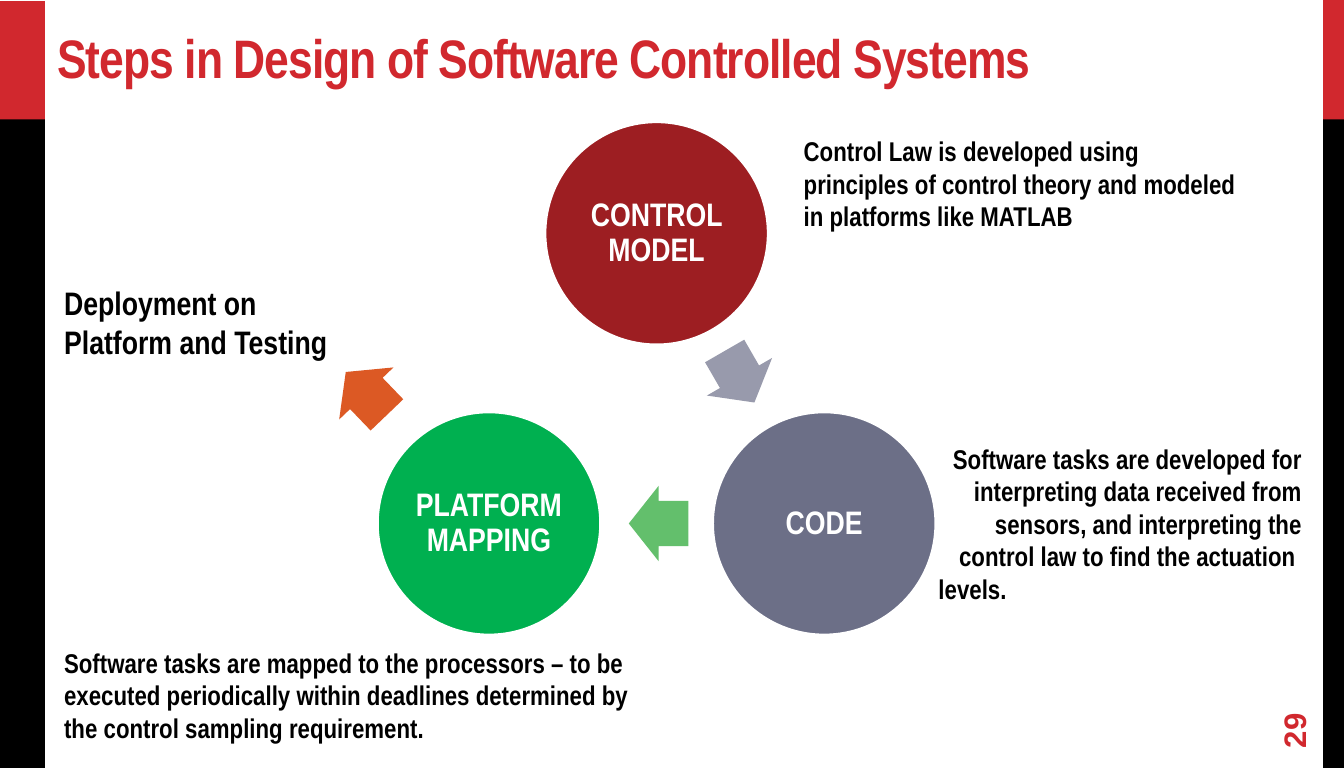
"""Build the slide on the design steps of software controlled systems."""
from dataclasses import dataclass
from math import cos, radians, sin

from pptx import Presentation
from pptx.dml.color import RGBColor
from pptx.enum.shapes import MSO_SHAPE as Shp
from pptx.enum.text import MSO_ANCHOR as Anchor, MSO_AUTO_SIZE as Auto, PP_ALIGN as Align
from pptx.util import Cm, Pt

COLORS = {
    "red": "D1282E", "black": "000000", "white": "FFFFFF", "crimson": "9D1E22",
    "slate": "6C6F87", "green": "00B050", "mist": "989AAC", "leaf": "63BF6C",
    "orange": "DC5924",
}
CENTER_X, CENTER_Y, RADIUS = 17.1, 11.12, 5.04
CIRCLE = 5.82
ARROW_W, ARROW_H = 1.55, 1.96
ARROW_SHIFT = 0.05
INSETS = {"margin_left": Cm(0.28), "margin_top": Cm(0.15),
          "margin_right": Cm(0.28), "margin_bottom": Cm(0.15)}
TIGHT = dict.fromkeys(INSETS, Cm(0.08))


@dataclass
class Bar:
    """Coloured strip at a side of the slide."""
    x: float
    y: float
    w: float
    h: float
    color: str


@dataclass
class Step:
    """Circle of the cycle, placed by its angle."""
    text: str
    angle: float
    color: str

    @property
    def center(self) -> tuple[float, float]:
        """Return the centre of the circle."""
        a = radians(self.angle)
        return CENTER_X + RADIUS * cos(a), CENTER_Y + RADIUS * sin(a)


@dataclass
class Arrow:
    """Block arrow given by its centre and rotation."""
    x: float
    y: float
    rotation: float
    color: str


@dataclass
class Note:
    """Explanation beside a step, as lines with their alignments."""
    x: float
    y: float
    w: float
    h: float
    lines: list[tuple[str, Align]]
    size: int = 20
    wrap: bool = True


BARS = [
    Bar(34.46, 0, 0.56, 3.99, "red"), Bar(34.46, 3.11, 0.56, 16.9, "black"),
    Bar(0, 0.03, 1.17, 3.99, "red"), Bar(0, 3.11, 1.17, 16.9, "black"),
]
STEPS = [
    Step("CONTROL MODEL", -90, "crimson"),
    Step("CODE", 30, "slate"),
    Step("PLATFORM MAPPING", 150, "green"),
]
NOTES = [
    Note(20.68, 3.38, 12.06, 2.82, [
        ("Control Law is developed using principles of control theory and "
         "modeled in platforms like MATLAB", Align.LEFT)]),
    Note(1.42, 7.26, 7.44, 2.31, [
        ("Deployment on", Align.LEFT), ("Platform and Testing", Align.LEFT)], 24, False),
    Note(24.19, 11.4, 9.96, 4.52, [
        ("Software tasks are developed for interpreting data received from sensors, "
         "and interpreting the control law to find the actuation ", Align.RIGHT),
        ("levels.", Align.LEFT)]),
    Note(1.42, 16.71, 15.44, 2.82, [
        ("Software tasks are mapped to the processors – to be executed periodically "
         "within deadlines determined by the control sampling requirement.", Align.LEFT)]),
]


def rgb(name: str) -> RGBColor:
    """Return a named colour."""
    return RGBColor.from_string(COLORS[name])


def set_all(obj, values: dict) -> None:
    """Set several attributes of an object."""
    for name, value in values.items():
        setattr(obj, name, value)


def add_run(p, text: str, size: int, color: str, font: str = "Arial Narrow"):
    """Add a bold run to a paragraph."""
    r = p.add_run()
    r.text = text
    set_all(r.font, {"name": font, "size": Pt(size), "bold": True})
    r.font.color.rgb = rgb(color)
    return r


def add_filled(s, kind: Shp, x: float, y: float, w: float, h: float, color: str):
    """Add a filled shape without line and shadow."""
    sp = s.shapes.add_shape(kind, Cm(x), Cm(y), Cm(w), Cm(h))
    sp.shadow.inherit = False
    sp.fill.solid()
    sp.fill.fore_color.rgb = rgb(color)
    sp.line.fill.background()
    return sp


def add_title(s, text: str) -> None:
    """Place and fill the title."""
    sp = s.shapes.title
    set_all(sp, {"left": Cm(1.21), "top": Cm(0.69), "width": Cm(33.02), "height": Cm(1.78)})
    tf = sp.text_frame
    set_all(tf, INSETS | {"vertical_anchor": Anchor.BOTTOM, "auto_size": Auto.NONE})
    p = tf.paragraphs[0]
    p.alignment = Align.LEFT
    r = add_run(p, text, 40, "red")
    r.font._element.set("spc", "-70")


def add_number(s, text: str) -> None:
    """Add the upright slide number."""
    sp = s.shapes.add_textbox(Cm(32.66), Cm(18.31), Cm(2.06), Cm(0.86))
    sp.rotation = 270
    tf = sp.text_frame
    set_all(tf, INSETS | {"vertical_anchor": Anchor.MIDDLE, "word_wrap": True})
    add_run(tf.paragraphs[0], text, 23, "red", "Arial")


def add_step(s, step: Step) -> None:
    """Add a labelled circle."""
    x, y = step.center
    sp = add_filled(s, Shp.OVAL, x - CIRCLE / 2, y - CIRCLE / 2, CIRCLE, CIRCLE, step.color)
    sp.line.color.rgb = rgb("white")
    sp.line.width = Pt(2.25)
    tf = sp.text_frame
    set_all(tf, TIGHT | {"vertical_anchor": Anchor.MIDDLE, "word_wrap": True})
    p = tf.paragraphs[0]
    set_all(p, {"alignment": Align.CENTER, "line_spacing": 0.9})
    add_run(p, step.text, 24, "white")


def arrow_between(a: Step, b: Step, rotation: float, color: str) -> Arrow:
    """Return the arrow from one step to the next, just short of halfway."""
    x, y = ((m + n) / 2 for m, n in zip(a.center, b.center))
    t = radians(rotation)
    return Arrow(x - ARROW_SHIFT * cos(t), y - ARROW_SHIFT * sin(t), rotation, color)


def add_arrow(s, arrow: Arrow) -> None:
    """Add a rotated block arrow."""
    sp = add_filled(s, Shp.RIGHT_ARROW, arrow.x - ARROW_W / 2, arrow.y - ARROW_H / 2,
                    ARROW_W, ARROW_H, arrow.color)
    sp.adjustments[0], sp.adjustments[1] = 0.6, 0.5
    sp.rotation = arrow.rotation


def add_note(s, note: Note) -> None:
    """Add an explanation."""
    sp = s.shapes.add_textbox(Cm(note.x), Cm(note.y), Cm(note.w), Cm(note.h))
    tf = sp.text_frame
    set_all(tf, {"word_wrap": note.wrap, "auto_size": Auto.SHAPE_TO_FIT_TEXT})
    for i, (text, align) in enumerate(note.lines):
        p = tf.add_paragraph() if i else tf.paragraphs[0]
        p.alignment = align
        add_run(p, text, note.size, "black")


def main() -> None:
    """Build and save the presentation."""
    prs = Presentation()
    prs.slide_width, prs.slide_height = Cm(35), Cm(20.01)
    s = prs.slides.add_slide(prs.slide_layouts[5])
    for bar in BARS:
        add_filled(s, Shp.RECTANGLE, bar.x, bar.y, bar.w, bar.h, bar.color)
    add_title(s, "Steps in Design of Software Controlled Systems")
    add_number(s, "29")
    for step in STEPS:
        add_step(s, step)
    model, code, mapping = STEPS
    for arrow in (arrow_between(model, code, 60, "mist"),
                  arrow_between(code, mapping, 180, "leaf"),
                  Arrow(9.54, 10.25, 226.2, "orange")):
        add_arrow(s, arrow)
    for note in NOTES:
        add_note(s, note)
    prs.save("out.pptx")


if __name__ == "__main__":
    main()
